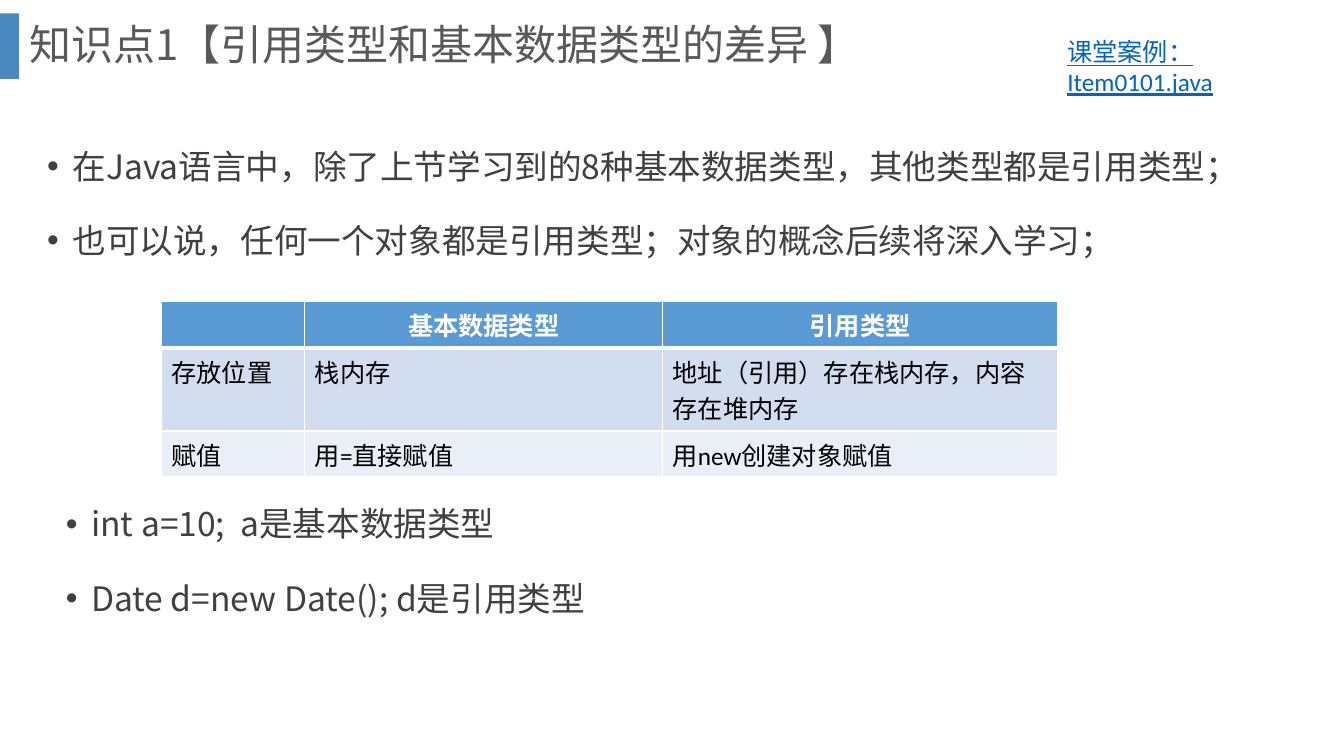
from lxml import etree
from pptx import Presentation
from pptx import util as u
from pptx.dml.color import RGBColor
from pptx.enum import shapes, text
from pptx.oxml import ns

ACCENT = RGBColor(0x4D, 0x89, 0xC1)
TITLE_GREY = RGBColor(0x59, 0x59, 0x59)
BODY_GREY = RGBColor(0x40, 0x40, 0x40)
LINK_BLUE = RGBColor(0x05, 0x63, 0xC1)
HEADER_BLUE = RGBColor(0x5B, 0x9B, 0xD5)
BAND_DARK = RGBColor(0xD2, 0xDE, 0xEF)
BAND_LIGHT = RGBColor(0xEA, 0xEF, 0xF7)
WHITE = RGBColor(0xFF, 0xFF, 0xFF)
BLACK = RGBColor(0, 0, 0)
CJK = "Noto Sans CJK SC"


def style(paragraph, size, color, latin=CJK):
    font = paragraph.font
    font.size, font.name = u.Pt(size), latin
    font.color.rgb = color
    defaults = paragraph._p.pPr.find(ns.qn("a:defRPr"))
    etree.SubElement(defaults, ns.qn("a:ea"), typeface=CJK)


def add_text(left, top, width, height):
    box = slide.shapes.add_textbox(u.Cm(left), u.Cm(top), u.Cm(width), u.Cm(height))
    box.text_frame.word_wrap = True
    return box.text_frame


prs = Presentation()
prs.slide_width, prs.slide_height = u.Cm(33.87), u.Cm(19.05)
slide = prs.slides.add_slide(prs.slide_layouts[6])

# Accent bar and title
bar = slide.shapes.add_shape(
    shapes.MSO_SHAPE.RECTANGLE, 0, u.Cm(0.34), u.Cm(0.48), u.Cm(1.65))
bar.shadow.inherit = False
bar.fill.solid()
bar.fill.fore_color.rgb = ACCENT
bar.line.fill.background()

title = add_text(0.49, 0, 32.15, 2.36)
title.vertical_anchor = text.MSO_ANCHOR.MIDDLE
heading = title.paragraphs[0]
heading.text = "知识点1【引用类型和基本数据类型的差异 】"
heading.line_spacing = 0.9
style(heading, 30, TITLE_GREY)

# Bulleted statements above and below the table
statements = [
    (0.94, 3.04, ["在Java语言中，除了上节学习到的8种基本数据类型，其他类型都是引用类型；",
                  "也可以说，任何一个对象都是引用类型；对象的概念后续将深入学习；"]),
    (1.41, 12.05, ["int a=10;  a是基本数据类型",
                   "Date d=new Date(); d是引用类型"]),
]
for left, top, lines in statements:
    frame = add_text(left, top, 30.6, 4.06)
    for i, line in enumerate(lines):
        item = frame.paragraphs[0] if i == 0 else frame.add_paragraph()
        item.text = line
        item.line_spacing = 1.5
        if i:
            item.space_before = u.Pt(10)
        props = item._p.get_or_add_pPr()
        props.set("marL", str(u.Cm(0.64)))
        props.set("indent", str(-u.Cm(0.64)))
        etree.SubElement(props, ns.qn("a:buFont"), typeface="Arial")
        etree.SubElement(props, ns.qn("a:buChar"), char="•")
        style(item, 24, BODY_GREY)

# Comparison table
comparison = [
    ["", "基本数据类型", "引用类型"],
    ["存放位置", "栈内存", "地址（引用）存在栈内存，内容存在堆内存"],
    ["赋值", "用=直接赋值", "用new创建对象赋值"],
]
fills = [HEADER_BLUE, BAND_DARK, BAND_LIGHT]
table = slide.shapes.add_table(3, 3, u.Cm(4.07), u.Cm(7.6), u.Cm(22.58), u.Cm(4.42)).table
for column, width in zip(table.columns, (3.61, 9.02, 9.95)):
    column.width = u.Cm(width)
for row, height in zip(table.rows, (1.17, 2.09, 1.16)):
    row.height = u.Cm(height)
for r, values in enumerate(comparison):
    for c, value in enumerate(values):
        cell = table.cell(r, c)
        entry = cell.text_frame.paragraphs[0]
        entry.text = value
        style(entry, 18, BLACK if r else WHITE, "Calibri")
        entry.font.bold = r == 0
        if r == 0:
            entry.alignment = text.PP_ALIGN.CENTER
        # White borders, heavier along the header's lower edge
        borders = cell._tc.get_or_add_tcPr()
        for side, heavy in (("L", False), ("R", False), ("T", r == 1), ("B", r == 0)):
            edge = etree.SubElement(
                borders, ns.qn(f"a:ln{side}"), w=str(u.Pt(3 if heavy else 1)))
            paint = etree.SubElement(edge, ns.qn("a:solidFill"))
            etree.SubElement(paint, ns.qn("a:srgbClr"), val=str(WHITE))
        cell.fill.solid()
        cell.fill.fore_color.rgb = fills[r]

# Class example reference
example = add_text(26.65, 0.79, 5.79, 1.8).paragraphs[0]
example.text = "课堂案例：Item0101.java"
style(example, 18, LINK_BLUE, "Calibri")
example.font.underline = True

prs.save("out.pptx")
